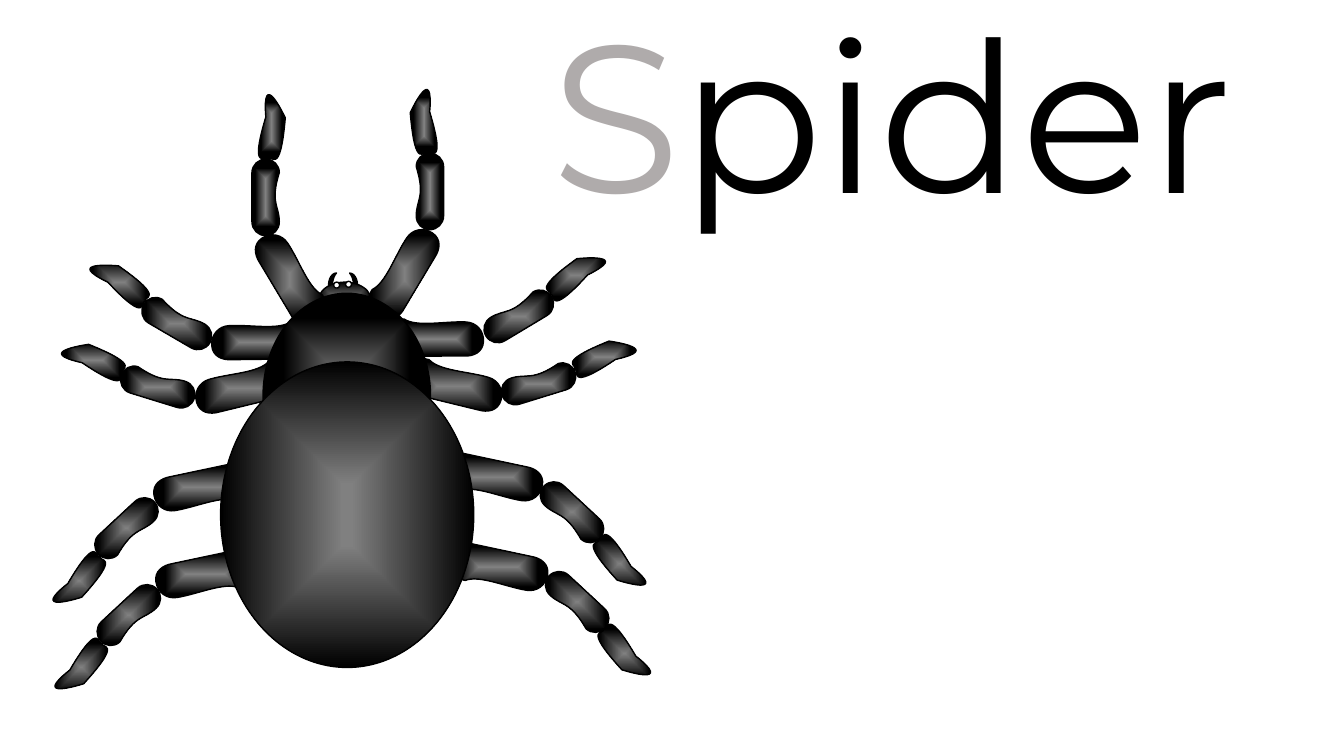
"""Build a slide with a spider drawn from leg segments and its name."""
from dataclasses import dataclass

from lxml.etree import SubElement
from pptx import Presentation
from pptx.dml.color import RGBColor
from pptx.enum.shapes import MSO_SHAPE
from pptx.enum.text import MSO_AUTO_SIZE
from pptx.oxml.ns import qn
from pptx.util import Cm, Pt


@dataclass(frozen=True)
class Theme:
    black: RGBColor = RGBColor(0x00, 0x00, 0x00)
    white: RGBColor = RGBColor(0xFF, 0xFF, 0xFF)
    shine: RGBColor = RGBColor(0x80, 0x80, 0x80)
    initial: RGBColor = RGBColor(0xAF, 0xAB, 0xAB)
    font: str = "Montserrat"
    title_size: Pt = Pt(150)
    outline: Pt = Pt(1)


theme = Theme()


def paint(shape, color=theme.black, shine_stops=None):
    """Outline a shape and fill it plainly or with a shine from its centre."""
    shape.shadow.inherit = False
    shape.line.color.rgb = theme.black
    shape.line.width = theme.outline
    if shine_stops is None:
        shape.fill.solid()
        shape.fill.fore_color.rgb = color
        return
    shape.fill.gradient()
    colors = (theme.shine, theme.black)
    for stop, position, stop_color in zip(shape.fill.gradient_stops, shine_stops, colors):
        stop.position = position
        stop.color.rgb = stop_color
    gradient = shape._element.spPr.find(qn("a:gradFill"))
    gradient.remove(gradient.find(qn("a:lin")))
    gradient_path = SubElement(gradient, qn("a:path"), path="shape")
    SubElement(gradient_path, qn("a:fillToRect"), l="50000", t="50000", r="50000", b="50000")


def add_segment(shapes, width, height, start, curves, mirrored):
    """Add a closed outline of cubic curves, mirrored left to right on request."""
    commands = [("a:moveTo", [start])] + [("a:cubicBezTo", curve) for curve in curves]
    placed = [(tag, [(Cm(width - x if mirrored else x), Cm(y)) for x, y in points])
              for tag, points in commands]
    ends = [points[-1] for tag, points in placed]
    builder = shapes.build_freeform(*ends[0])
    builder.add_line_segments(ends[1:])
    segment = builder.convert_to_shape()
    outline = next(segment._element.iter(qn("a:path")))
    outline.clear()
    outline.set("w", str(Cm(width)))
    outline.set("h", str(Cm(height)))
    for tag, points in placed:
        command = SubElement(outline, qn(tag))
        for x, y in points:
            SubElement(command, qn("a:pt"), x=str(x), y=str(y))
    SubElement(outline, qn("a:close"))
    segment.width, segment.height = Cm(width), Cm(height)
    return segment


presentation = Presentation()
presentation.slide_width = Cm(33.87)
presentation.slide_height = Cm(19.05)
slide = presentation.slides.add_slide(presentation.slide_layouts[6])
shapes = slide.shapes

title = shapes.add_textbox(Cm(13.64), Cm(-0.53), Cm(21.95), Cm(6.68))
title.text_frame.word_wrap = True
title.text_frame.auto_size = MSO_AUTO_SIZE.SHAPE_TO_FIT_TEXT
paragraph = title.text_frame.paragraphs[0]
for text, color in (("S", theme.initial), ("pider", theme.black)):
    run = paragraph.add_run()
    run.text = text
    run.font.color.rgb = color
paragraph.font.name = theme.font
paragraph.font.size = theme.title_size

for left, rotation in ((8.28, 0), (8.81, 180)):
    fang = shapes.add_shape(MSO_SHAPE.MOON, Cm(left), Cm(6.88), Cm(0.2), Cm(0.61))
    fang.rotation = rotation
    paint(fang)

head = shapes.add_shape(MSO_SHAPE.OVAL, Cm(8.03), Cm(7.11), Cm(1.32), Cm(0.89))
paint(head, shine_stops=(0, 1))

thigh = (0.94, 2.51, (0.08, 0.48), [
    ((0.08, 0.23), (0.2, 0), (0.47, 0)),
    ((0.74, 0), (0.94, 0.2), (0.94, 0.46)),
    ((0.94, 0.99), (0.74, 1.7), (0.94, 2.03)),
    ((0.94, 2.31), (0.74, 2.51), (0.47, 2.51)),
    ((0.2, 2.51), (0, 2.31), (0, 2.06)),
])
shin = (0.69, 1.93, (0, 0.34), [
    ((0, 0.15), (0.16, 0), (0.35, 0)),
    ((0.54, 0), (0.69, 0.15), (0.69, 0.34)),
    ((0.45, 1.1), (0.69, 1.18), (0.69, 1.58)),
    ((0.69, 1.78), (0.54, 1.93), (0.35, 1.93)),
    ((0.16, 1.93), (0, 1.78), (0, 1.58)),
])
foot = (0.69, 1.63, (0.2, 0.56), [
    ((0.1, -0.66), (0.63, 0.46), (0.69, 0.58)),
    ((0.56, 2.13), (0.33, 1.45), (0.26, 1.63)),
    ((0.26, 1.45), (-0.25, 2.06), (0.2, 0.56)),
])

legs = [
    (False, 326.2, 0, (6.83, 5.79), (6.35, 4.01), (6.5, 2.39)),
    (True, 33.8, 0, (9.73, 5.66), (10.49, 3.86), (10.34, 2.26)),
    (True, 92.8, 59, (10.46, 7.29), (12.73, 7.01), (14.17, 6.12)),
    (False, 266.4, 300.3, (6.12, 7.37), (4.11, 7.19), (2.67, 6.3)),
    (False, 253.4, 287.2, (5.69, 8.53), (3.63, 8.79), (2.01, 8.26)),
    (True, 106.6, 72.8, (10.95, 8.48), (13.23, 8.71), (14.88, 8.18)),
    (False, 99.1, 132.9, (12.09, 13.03), (14.2, 14.2), (15.39, 15.65)),
    (True, 260.9, 227.1, (4.7, 13.21), (2.9, 14.53), (1.7, 16)),
    (True, 260.9, 227.1, (4.65, 11.02), (2.84, 12.34), (1.65, 13.82)),
    (False, 99.1, 132.9, (11.96, 10.77), (14.07, 11.94), (15.27, 13.39)),
]
for mirrored, thigh_angle, lower_angle, *corners in legs:
    angles = (thigh_angle, lower_angle, lower_angle)
    for profile, angle, (left, top) in zip((thigh, shin, foot), angles, corners):
        segment = add_segment(shapes, *profile, mirrored)
        segment.left, segment.top = Cm(left), Cm(top)
        segment.rotation = angle
        paint(segment, shine_stops=(0, 0.76))

body_parts = [
    (6.63, 7.39, 4.22, 5.16, (0, 0.76)),
    (5.56, 9.12, 6.38, 7.7, (0.03, 1)),
]
for left, top, width, height, shine_stops in body_parts:
    body_part = shapes.add_shape(MSO_SHAPE.OVAL, Cm(left), Cm(top), Cm(width), Cm(height))
    paint(body_part, shine_stops=shine_stops)

for left, top in ((8.41, 7.11), (8.71, 7.09)):
    eye = shapes.add_shape(MSO_SHAPE.OVAL, Cm(left), Cm(top), Cm(0.15), Cm(0.15))
    paint(eye, theme.white)

presentation.save("out.pptx")
